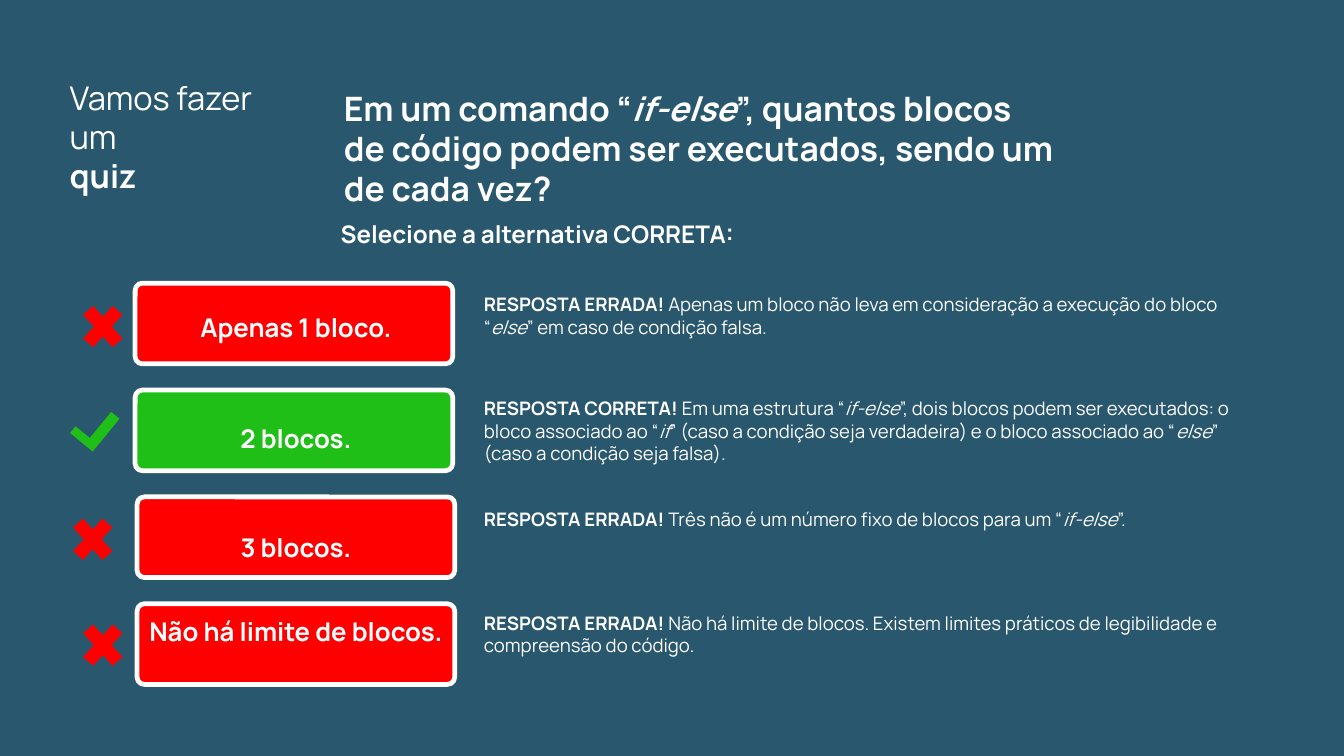
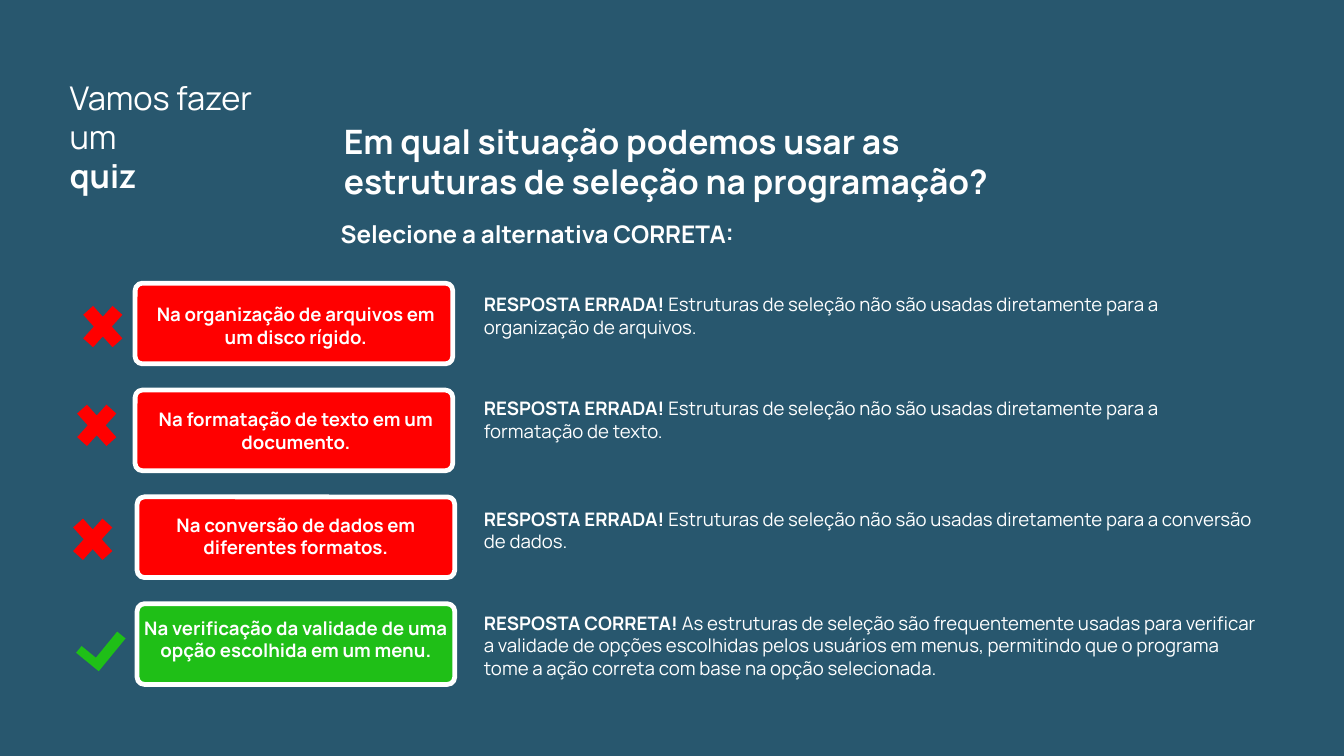
from pptx import Presentation
from pptx.dml.color import RGBColor
from pptx.enum.shapes import MSO_SHAPE
from pptx.enum.text import MSO_ANCHOR, MSO_AUTO_SIZE, PP_ALIGN
from pptx.util import Inches, Pt

TEAL = RGBColor(0x28, 0x57, 0x6E)
WHITE = RGBColor(0xFF, 0xFF, 0xFF)
RED = RGBColor(0xFF, 0x00, 0x00)
GREEN = RGBColor(0x1F, 0xBF, 0x17)
FONT = "Manrope"

BOX_TOP, BOX_PITCH = 2.81, 1.06
BOX_LEFTS = (1.34, 1.34, 1.36, 1.36)
NOTE_TOPS = (2.91, 3.94, 5.04, 6.07)
CROSS_SPOTS = ((0.74, 2.93), (0.68, 3.91), (0.64, 5.04), (0.74, 6.09))

QUIZZES = [
    dict(
        question="Em um comando “*if-else*”, quantos blocos de código podem ser executados, "
                 "sendo um de cada vez?",
        question_top=0.82, correct=1, label_size=18.4,
        options=[
            ("Apenas 1 bloco.", 2.94, 1.5,
             "Apenas um bloco não leva em consideração a execução do bloco “*else*” em caso "
             "de condição falsa."),
            ("2 blocos.", 4.04, 1.5,
             "Em uma estrutura “*if-else*”, dois blocos podem ser executados: o bloco associado "
             "ao “*if*” (caso a condição seja verdadeira) e o bloco associado ao “*else*” "
             "(caso a condição seja falsa)."),
            ("3 blocos.", 5.12, 1.5,
             "Três não é um número fixo de blocos para um “*if-else*”."),
            ("Não há limite de blocos.", 6.11, 1.0,
             "Não há limite de blocos. Existem limites práticos de legibilidade e compreensão "
             "do código."),
        ],
    ),
    dict(
        question="Em qual situação podemos usar as estruturas de seleção na programação?",
        question_top=1.15, correct=3, label_size=13.3,
        options=[
            ("Na organização de arquivos em um disco rígido.", 3.01, 1.0,
             "Estruturas de seleção não são usadas diretamente para a organização de arquivos."),
            ("Na formatação de texto em um documento.", 4.05, 1.0,
             "Estruturas de seleção não são usadas diretamente para a formatação de texto."),
            ("Na conversão de dados em diferentes formatos.", 5.1, 1.0,
             "Estruturas de seleção não são usadas diretamente para a conversão de dados."),
            ("Na verificação da validade de uma opção escolhida em um menu.", 6.12, 1.0,
             "As estruturas de seleção são frequentemente usadas para verificar a validade de "
             "opções escolhidas pelos usuários em menus, permitindo que o programa tome a ação "
             "correta com base na opção selecionada."),
        ],
    ),
]


class QuizDeck:
    """Hold the quiz style and the slide being built."""

    def __init__(self):
        self.prs = Presentation()
        self.prs.slide_width, self.prs.slide_height = Inches(13.33), Inches(7.5)
        fill = self.prs.slide_master.background.fill
        fill.solid()
        fill.fore_color.rgb = TEAL
        self.s = None

    def frame(self, sp, margins=(0, 0)):
        """Prepare a text frame with horizontal and vertical margins."""
        tf = sp.text_frame
        tf.word_wrap = True
        tf.auto_size = MSO_AUTO_SIZE.NONE
        tf.vertical_anchor = MSO_ANCHOR.TOP
        tf.margin_left = tf.margin_right = Inches(margins[0])
        tf.margin_top = tf.margin_bottom = Inches(margins[1])
        return tf

    def paragraph(self, p, text, size, bold=None, align=PP_ALIGN.LEFT, lead=""):
        """Write a bold lead, then text whose parts between asterisks are italic."""
        p.alignment = align
        p.font.name, p.font.size, p.font.bold = FONT, Pt(size), bold
        p.font.color.rgb = WHITE
        if lead:
            r = p.add_run()
            r.text = lead
            r.font.bold = True
        for i, part in enumerate(text.split("*")):
            r = p.add_run()
            r.text = part
            if i % 2:
                r.font.italic = True

    def text(self, x, y, w, h, text, size, bold=None, align=PP_ALIGN.LEFT, lead="",
             margins=(0, 0)):
        """Add a text box of one paragraph and return its frame."""
        tf = self.frame(self.s.shapes.add_textbox(Inches(x), Inches(y), Inches(w), Inches(h)),
                        margins)
        self.paragraph(tf.paragraphs[0], text, size, bold, align, lead)
        return tf

    def shape(self, kind, x, y, w, h, color, *adjustments):
        """Add a flat preset shape without an outline."""
        sp = self.s.shapes.add_shape(kind, Inches(x), Inches(y), Inches(w), Inches(h))
        sp.shadow.inherit = False
        sp.fill.solid()
        sp.fill.fore_color.rgb = color
        sp.line.fill.background()
        for i, value in enumerate(adjustments):
            sp.adjustments[i] = value
        return sp

    def heading(self, question, top):
        """Add the quiz name, the question and the instruction."""
        tf = self.text(0.69, 0.77, 1.88, 1.18, "Vamos fazer um", 23.3)
        self.paragraph(tf.add_paragraph(), "quiz", 23.3, True)
        title = self.s.shapes.title
        title.left, title.top = Inches(3.31), Inches(top)
        title.width, title.height = Inches(7.29), Inches(1.2)
        self.paragraph(self.frame(title, (0.1, 0.05)).paragraphs[0], question, 24, True)
        tf = self.text(3.31, 2.15, 6.94, 0.6, "Selecione a alternativa CORRETA:", 17.3, True,
                       margins=(0.07, 0.03))
        tf.paragraphs[0].space_before = Pt(4.4)

    def mark(self, row, correct):
        """Add the check or the cross beside an option."""
        x, y = CROSS_SPOTS[row]
        if correct:
            sp = self.shape(MSO_SHAPE.CORNER, x + 0.05, y + 0.17, 0.42, 0.29, GREEN,
                            0.368, 0.297)
            sp.rotation = 309.3
        else:
            self.shape(MSO_SHAPE.MATH_MULTIPLY, x, y, 0.56, 0.62, RED, 0.235)

    def box(self, row, correct):
        """Add the outlined box of an option."""
        sp = self.shape(MSO_SHAPE.ROUNDED_RECTANGLE, BOX_LEFTS[row], BOX_TOP + row * BOX_PITCH,
                        3.15, 0.8, GREEN if correct else RED, 0.09)
        sp.line.color.rgb = WHITE
        sp.line.width = Pt(3.4)

    def label(self, top, text, size, spacing):
        """Add the centred wording of an option."""
        tf = self.text(1.41, top, 3.05, 0.47, text, size, True, PP_ALIGN.CENTER)
        tf.paragraphs[0].line_spacing = spacing

    def note(self, row, correct, explanation):
        """Add the verdict and the explanation of an option."""
        verdict = "CORRETA" if correct else "ERRADA"
        self.text(4.8, NOTE_TOPS[row], 7.67, 0.67, explanation, 13.3,
                  lead=f"RESPOSTA {verdict}! ")

    def quiz(self, question, question_top, correct, label_size, options):
        """Add a slide with one question and its options."""
        self.s = self.prs.slides.add_slide(self.prs.slide_layouts[5])
        self.heading(question, question_top)
        for row, (label, top, spacing, explanation) in enumerate(options):
            right = row == correct
            self.mark(row, right)
            self.box(row, right)
            self.label(top, label, label_size, spacing)
            self.note(row, right, explanation)


def main():
    deck = QuizDeck()
    for quiz in QUIZZES:
        deck.quiz(**quiz)
    deck.prs.save("out.pptx")


if __name__ == "__main__":
    main()
